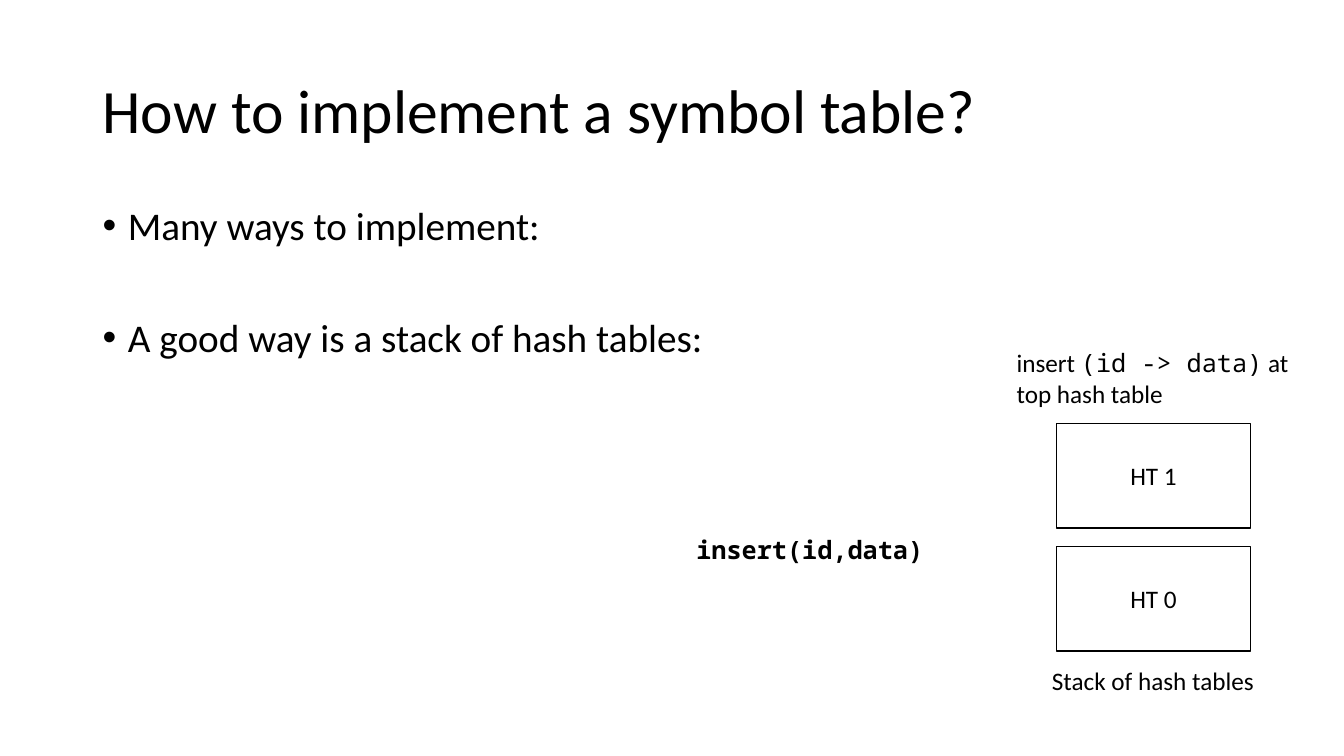
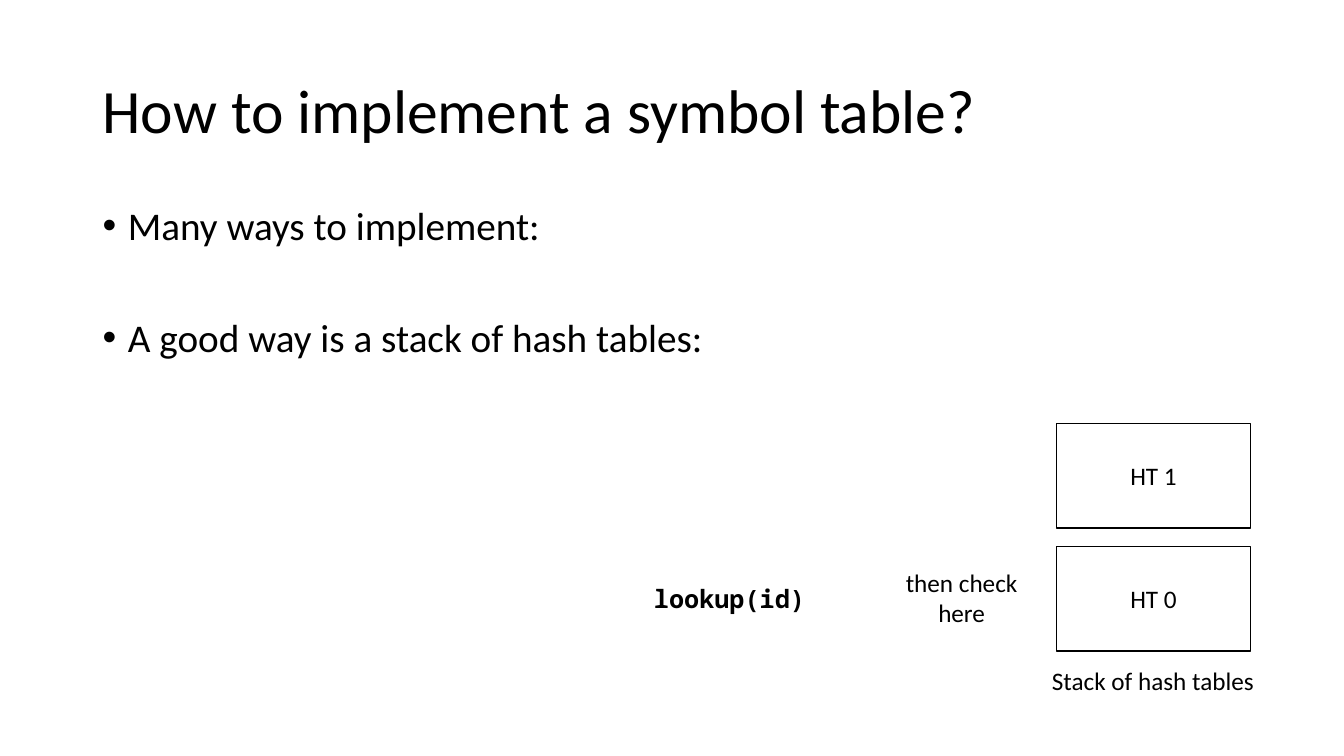
import pptx
import pptx.dml.color
import pptx.enum.shapes
import pptx.enum.text
import pptx.util

Cm, Pt = pptx.util.Cm, pptx.util.Pt
ALIGN = pptx.enum.text.PP_ALIGN
ANCHOR = pptx.enum.text.MSO_ANCHOR
FIT = pptx.enum.text.MSO_AUTO_SIZE

# Shared style
BLACK, WHITE = "000000", "FFFFFF"
SANS, MONO = "Calibri", "Noto Sans Mono"
TITLE_FONT = {"size": Pt(44), "name": SANS}
LIST_FONT = {"size": Pt(28), "name": SANS}
LABEL_FONT = {"size": Pt(18), "name": SANS}
CODE_FONT = {"size": Pt(18), "name": MONO}
CALL_FONT = {**CODE_FONT, "bold": True}

# Shared content: list items carry their space before, in points
TITLE = "How to implement a symbol table?"
BULLETS = [("Many ways to implement:", 10),
           ("A good way is a stack of hash tables:", 50)]
TABLES = ["HT 1", "HT 0"]  # top to bottom

# Layout in cm: left, top, width, height
TITLE_AT = (2.33, 1.01, 29.21, 3.68)
LIST_AT = (2.33, 5.07, 15.65, 12.09)
STACK_AT = (26.62, 10.67, 4.9, 2.64)
STACK_GAP = 0.46
INDENT = Cm(0.64)

# Labels: position, alignment, runs of (text, font)
CAPTION = ((26.26, 16.64, 5.66, 1.02), ALIGN.LEFT,
           [("Stack of hash tables", LABEL_FONT)])
SLIDES = [
    [((17.3, 13.33, 6.63, 1.02), ALIGN.LEFT, [("insert(id,data)", CALL_FONT)]),
     ((25.37, 8.64, 7.42, 1.8), ALIGN.LEFT,
      [("insert ", LABEL_FONT), ("(id -> data)", CODE_FONT),
       (" at\ntop hash table", LABEL_FONT)])],
    [((16.23, 14.58, 4.72, 1.02), ALIGN.LEFT, [("lookup(id)", CALL_FONT)]),
     ((22.56, 14.17, 3.35, 1.8), ALIGN.CENTER,
      [("then check\nhere", LABEL_FONT)])],
]


def rgb(value):
    return pptx.dml.color.RGBColor.from_string(value)


def cm(at):
    return [Cm(v) for v in at]


def place(sp, at):
    sp.left, sp.top, sp.width, sp.height = cm(at)


def write(p, text, font):
    for i, line in enumerate(text.split("\n")):
        if i:
            p.add_line_break()
        r = p.add_run()
        r.text = line
        for name, value in font.items():
            setattr(r.font, name, value)
        r.font.color.rgb = rgb(BLACK)


def add_title(s):
    sp = s.shapes.title
    place(sp, TITLE_AT)
    tf = sp.text_frame
    tf.auto_size, tf.vertical_anchor = FIT.NONE, ANCHOR.MIDDLE
    p = tf.paragraphs[0]
    p.alignment, p.line_spacing = ALIGN.LEFT, 0.9
    write(p, TITLE, TITLE_FONT)


def add_list(s):
    sp = s.placeholders[1]
    place(sp, LIST_AT)
    tf = sp.text_frame
    tf.auto_size = FIT.NONE
    for i, (text, before) in enumerate(BULLETS):
        p = tf.add_paragraph() if i else tf.paragraphs[0]
        p.line_spacing, p.space_before = 0.9, Pt(before)
        pPr = p._p.get_or_add_pPr()
        pPr.set("marL", str(INDENT))
        pPr.set("indent", str(-INDENT))
        write(p, text, LIST_FONT)


def add_stack(s):
    left, top, width, height = STACK_AT
    for i, name in enumerate(TABLES):
        at = (left, top + i * (height + STACK_GAP), width, height)
        sp = s.shapes.add_shape(pptx.enum.shapes.MSO_SHAPE.RECTANGLE, *cm(at))
        sp.shadow.inherit = False
        sp.fill.solid()
        sp.fill.fore_color.rgb = rgb(WHITE)
        sp.line.color.rgb = rgb(BLACK)
        sp.line.width = Pt(1)
        sp.text_frame.vertical_anchor = ANCHOR.MIDDLE
        p = sp.text_frame.paragraphs[0]
        p.alignment = ALIGN.CENTER
        write(p, name, LABEL_FONT)


def add_label(s, at, alignment, runs):
    tf = s.shapes.add_textbox(*cm(at)).text_frame
    tf.word_wrap, tf.auto_size = False, FIT.SHAPE_TO_FIT_TEXT
    p = tf.paragraphs[0]
    p.alignment = alignment
    for text, font in runs:
        write(p, text, font)


def main():
    prs = pptx.Presentation()
    prs.slide_width, prs.slide_height = Cm(33.87), Cm(19.05)
    for labels in SLIDES:
        s = prs.slides.add_slide(prs.slide_layouts[1])
        add_title(s)
        add_list(s)
        add_stack(s)
        for label in [*labels, CAPTION]:
            add_label(s, *label)
    prs.save("out.pptx")


if __name__ == "__main__":
    main()
